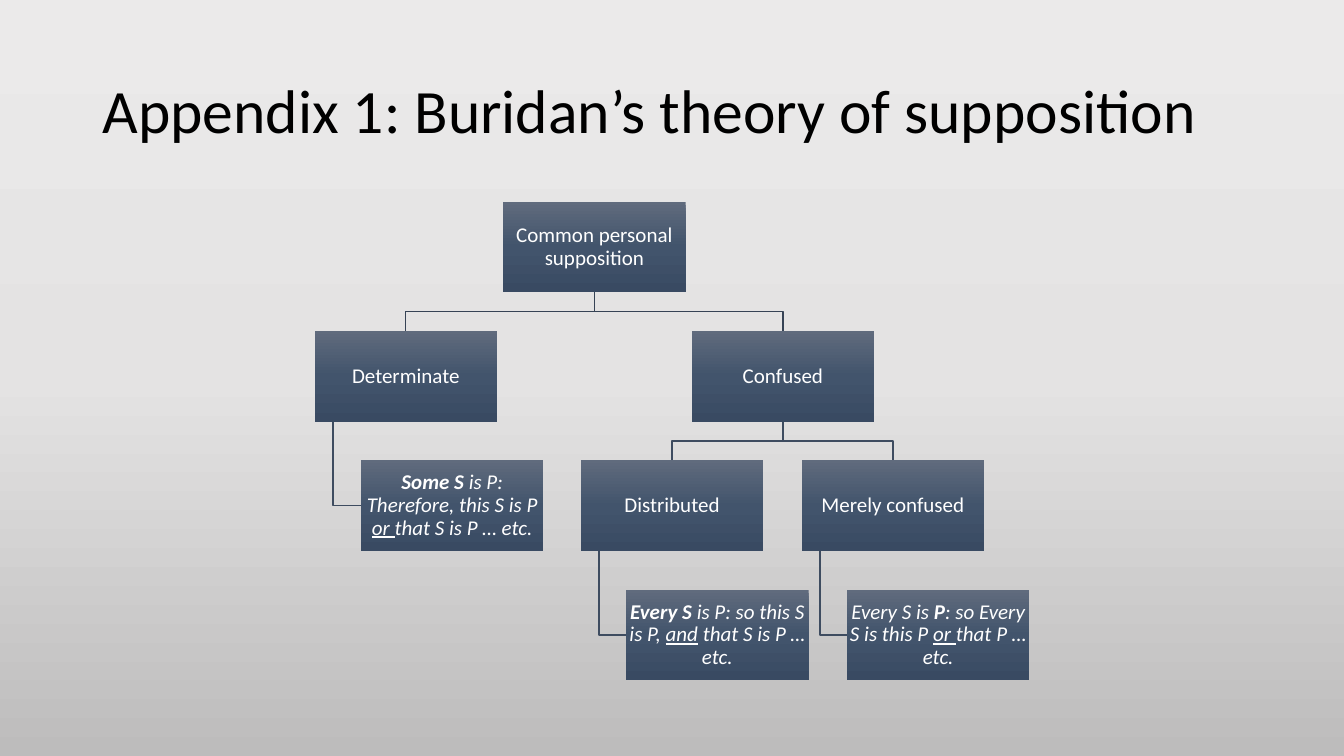
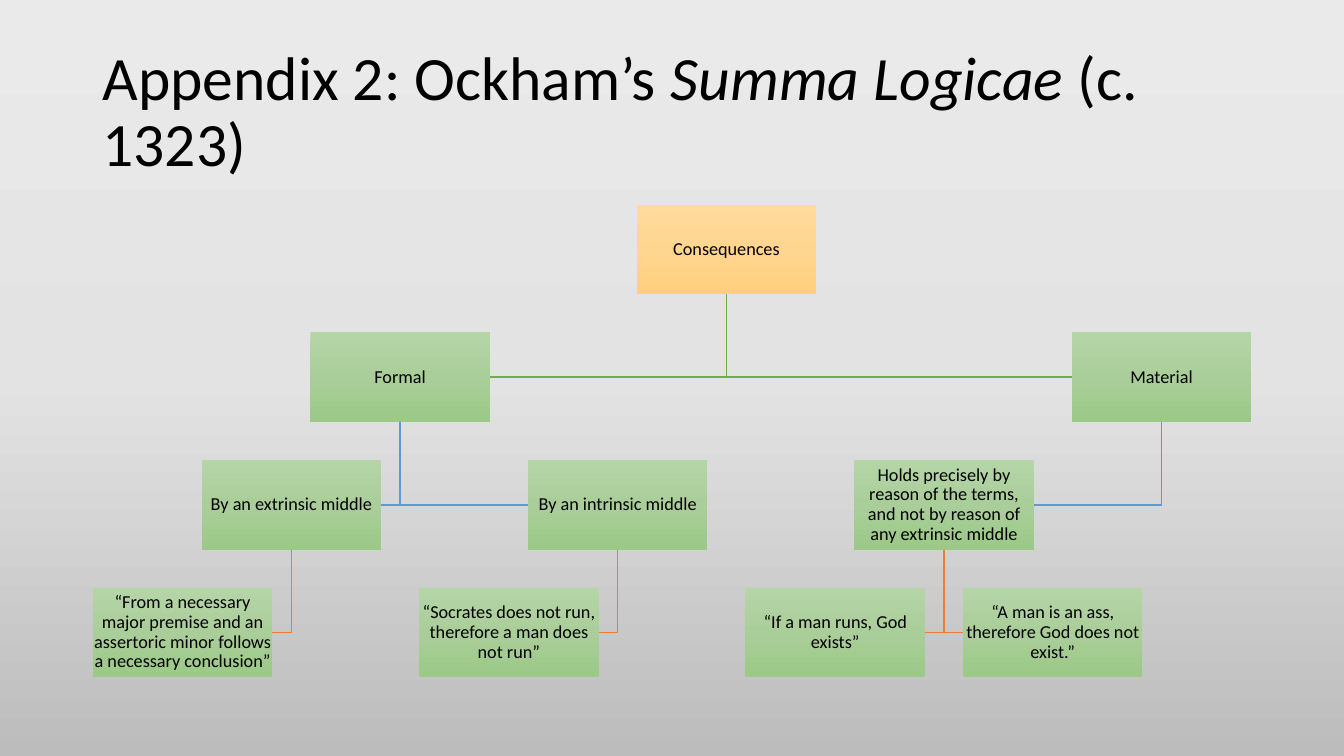
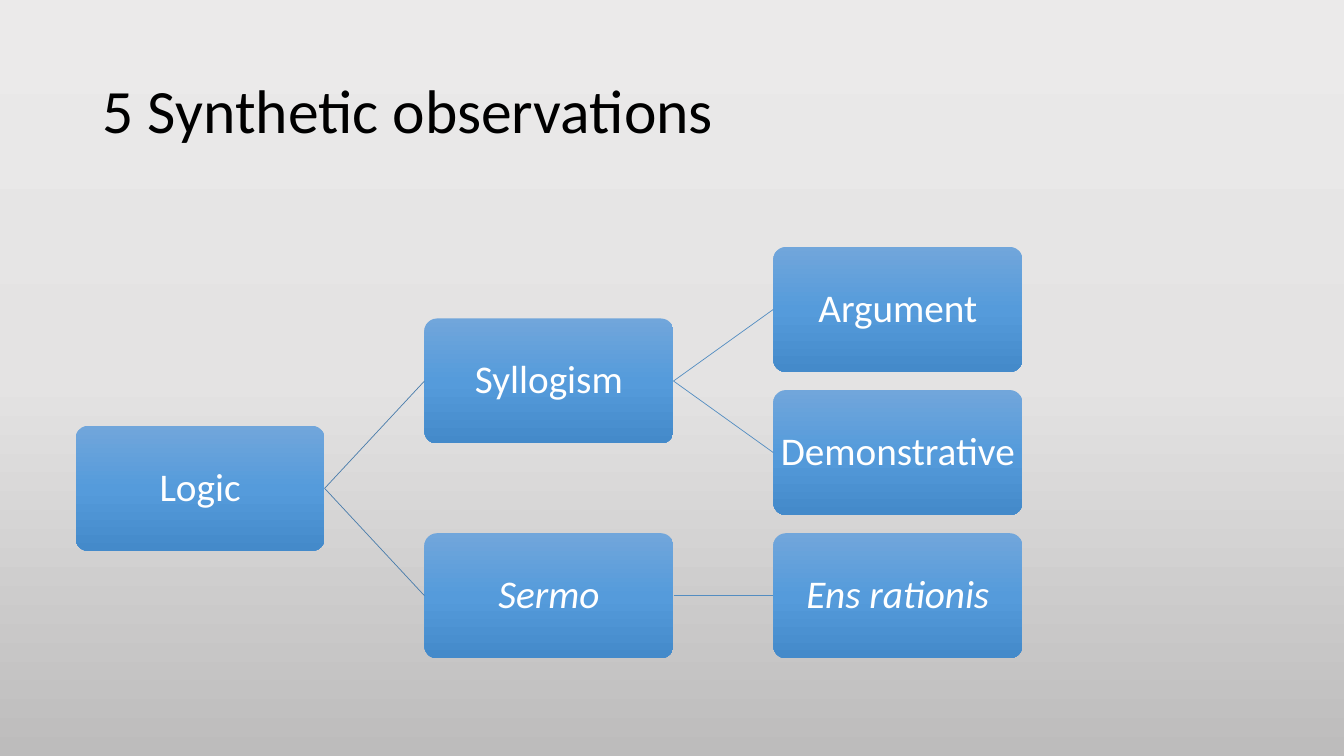
"""Build three slides of logic diagrams, each drawn from a tree of boxes."""
from copy import deepcopy
from dataclasses import dataclass
from typing import Callable, NamedTuple, Optional, Union

from lxml.etree import SubElement
from pptx import Presentation
from pptx.dml.color import RGBColor
from pptx.dml.fill import FillFormat
from pptx.enum.shapes import MSO_CONNECTOR as Link, MSO_SHAPE as Preset
from pptx.enum.text import MSO_ANCHOR as Anchor, PP_ALIGN as Align
from pptx.oxml.ns import qn
from pptx.shapes.autoshape import Shape
from pptx.shapes.connector import Connector
from pptx.slide import Slide
from pptx.text.text import TextFrame
from pptx.util import Inches, Pt

FONT = "Calibri"
BLACK = RGBColor(0x00, 0x00, 0x00)
WHITE = RGBColor(0xFF, 0xFF, 0xFF)
DARK_SLATE = RGBColor(0x36, 0x43, 0x55)
SLATE = RGBColor(0x3E, 0x4C, 0x60)
GREEN = RGBColor(0x70, 0xAD, 0x47)
BLUE = RGBColor(0x5B, 0x9B, 0xD5)
ORANGE = RGBColor(0xED, 0x7D, 0x31)
STEEL = RGBColor(0x49, 0x7C, 0xAB)
LIGHT_STEEL = RGBColor(0x53, 0x8D, 0xC1)

Gradient = tuple[RGBColor, RGBColor, RGBColor]
GREY_FADE: Gradient = (
    RGBColor(0xEB, 0xEA, 0xEA), RGBColor(0xE4, 0xE3, 0xE3), RGBColor(0xBD, 0xBC, 0xBC))
SLATE_FADE: Gradient = (
    RGBColor(0x60, 0x6B, 0x7D), RGBColor(0x42, 0x54, 0x6C), RGBColor(0x39, 0x4A, 0x62))
GOLD_FADE: Gradient = (
    RGBColor(0xFF, 0xDB, 0x9E), RGBColor(0xFF, 0xD5, 0x90), RGBColor(0xFF, 0xD0, 0x7C))
GREEN_FADE: Gradient = (
    RGBColor(0xB5, 0xD5, 0xA7), RGBColor(0xAA, 0xCE, 0x9A), RGBColor(0x9C, 0xC9, 0x87))
BLUE_FADE: Gradient = (
    RGBColor(0x71, 0xA6, 0xDB), RGBColor(0x55, 0x9B, 0xDB), RGBColor(0x44, 0x8A, 0xCA))


class Span(NamedTuple):
    text: str
    bold: bool = False
    italic: bool = False
    underline: bool = False


@dataclass(frozen=True)
class Box:
    spans: tuple[Span, ...]
    column: float
    row: float
    children: tuple["Box", ...] = ()
    fill: Optional[Gradient] = None


Line = Union[Shape, Connector]


@dataclass(frozen=True)
class Diagram:
    title: tuple[Span, ...]
    root: Box
    left: float
    top: float
    column_step: float
    row_step: float
    width: float
    height: float
    preset: Preset
    fill: Gradient
    ink: RGBColor
    size: int
    inset: float
    link: Callable[[Slide, Shape, Shape, bool], Line]
    link_colors: tuple[RGBColor, ...]
    link_width: float


def fade(fill: FillFormat, colors: Gradient) -> None:
    fill.gradient()
    fill.gradient_angle = 270
    last = fill.gradient_stops[1]._gs
    last.addprevious(deepcopy(last))
    for index, color in enumerate(colors):
        stop = fill.gradient_stops[index]
        stop.position = index / 2
        stop.color.rgb = color


def write(frame: TextFrame, spans: tuple[Span, ...], size: int, ink: RGBColor,
          align: Align) -> None:
    frame.word_wrap = True
    frame.vertical_anchor = Anchor.MIDDLE
    para = frame.paragraphs[0]
    para.alignment = align
    para.line_spacing = 0.9
    para.font.name = FONT
    para.font.size = Pt(size)
    para.font.color.rgb = ink
    all_italic = all(span.italic for span in spans)
    para.font.italic = all_italic
    for span in spans:
        run = para.add_run()
        run.text = span.text
        if span.bold:
            run.font.bold = True
        if span.underline:
            run.font.underline = True
        if span.italic and not all_italic:
            run.font.italic = True


def center(shape: Shape) -> int:
    return shape.left + shape.width // 2


def middle(shape: Shape) -> int:
    return shape.top + shape.height // 2


def bend(page: Slide, *points: tuple[int, int]) -> Shape:
    builder = page.shapes.build_freeform(*points[0])
    builder.add_line_segments(points[1:], close=False)
    line = builder.convert_to_shape()
    line.fill.background()
    return line


def link_branch(page: Slide, parent: Shape, child: Shape, only: bool) -> Line:
    bottom = parent.top + parent.height
    if only:
        drop = parent.left + parent.width // 10
        return bend(page, (drop, bottom), (drop, middle(child)), (child.left, middle(child)))
    halfway = (bottom + child.top) // 2
    return bend(page, (center(parent), bottom), (center(parent), halfway),
                (center(child), halfway), (center(child), child.top))


def link_side(page: Slide, parent: Shape, child: Shape, only: bool) -> Line:
    drop = center(parent)
    side = child.left + child.width if center(child) < drop else child.left
    return bend(page, (drop, parent.top + parent.height), (drop, middle(child)),
                (side, middle(child)))


def link_straight(page: Slide, parent: Shape, child: Shape, only: bool) -> Line:
    line = page.shapes.add_connector(Link.STRAIGHT, 0, 0, 0, 0)
    line.begin_connect(parent, 3)
    line.end_connect(child, 1)
    return line


def draw_box(page: Slide, diagram: Diagram, box: Box) -> Shape:
    shape = page.shapes.add_shape(
        diagram.preset,
        Inches(diagram.left + box.column * diagram.column_step),
        Inches(diagram.top + box.row * diagram.row_step),
        Inches(diagram.width), Inches(diagram.height))
    if diagram.preset == Preset.ROUNDED_RECTANGLE:
        shape.adjustments[0] = 0.1
    shape.shadow.inherit = False
    fade(shape.fill, box.fill or diagram.fill)
    shape.line.fill.background()
    frame = shape.text_frame
    frame.margin_left = frame.margin_right = Inches(diagram.inset)
    frame.margin_top = frame.margin_bottom = Inches(diagram.inset)
    write(frame, box.spans, diagram.size, diagram.ink, Align.CENTER)
    return shape


def draw_tree(page: Slide, diagram: Diagram, box: Box, depth: int = 0) -> Shape:
    parent = draw_box(page, diagram, box)
    for branch in box.children:
        child = draw_tree(page, diagram, branch, depth + 1)
        line = diagram.link(page, parent, child, len(box.children) == 1)
        line.line.color.rgb = diagram.link_colors[depth]
        line.line.width = Pt(diagram.link_width)
        SubElement(line._element.spPr, qn("a:effectLst"))
    return parent


def draw_title(page: Slide, spans: tuple[Span, ...]) -> None:
    title = page.shapes.add_textbox(Inches(0.92), Inches(0.4), Inches(11.5), Inches(1.45))
    write(title.text_frame, spans, 44, BLACK, Align.LEFT)


SUPPOSITION = Diagram(
    title=(Span("Appendix 1: Buridan’s theory of supposition"),),
    root=Box((Span("Common personal supposition"),), 4.99, 0, (
        Box((Span("Determinate"),), 3.12, 1, (
            Box((Span("Some S ", bold=True, italic=True),
                 Span("is P: Therefore, this S is P ", italic=True),
                 Span("or ", italic=True, underline=True),
                 Span("that S is P … etc.", italic=True)), 3.58, 2),)),
        Box((Span("Confused"),), 6.86, 1, (
            Box((Span("Distributed"),), 5.76, 2, (
                Box((Span("Every S ", bold=True, italic=True),
                     Span("is P: so this S is P, ", italic=True),
                     Span("and", italic=True, underline=True),
                     Span(" that S is P … etc.", italic=True)), 6.21, 3),)),
            Box((Span("Merely confused"),), 7.95, 2, (
                Box((Span("Every S is ", italic=True),
                     Span("P", bold=True, italic=True),
                     Span(": so Every S is this P ", italic=True),
                     Span("or ", italic=True, underline=True),
                     Span("that P … etc.", italic=True)), 8.4, 3),)))))),
    left=0, top=2, column_step=1, row_step=(5.85 - 2) / 3, width=1.81, height=0.9,
    preset=Preset.RECTANGLE, fill=SLATE_FADE, ink=WHITE, size=15, inset=0.01,
    link=link_branch, link_colors=(DARK_SLATE, SLATE, SLATE), link_width=1)

CONSEQUENCES = Diagram(
    title=(Span("Appendix 2: Ockham’s "), Span("Summa Logicae", italic=True),
           Span(" (c. 1323)")),
    root=Box((Span("Consequences"),), 5, 0, (
        Box((Span("Formal"),), 2, 1, (
            Box((Span("By an extrinsic middle"),), 1, 2, (
                Box((Span("“From a necessary major premise and an assertoric minor "
                          "follows a necessary conclusion”"),), 0, 3),)),
            Box((Span("By an intrinsic middle"),), 4, 2, (
                Box((Span("“Socrates does not run, therefore a man does not run”"),),
                    3, 3),)))),
        Box((Span("Material"),), 9, 1, (
            Box((Span("Holds precisely by reason of the terms, and not by reason of "
                      "any extrinsic middle"),), 7, 2, (
                Box((Span("“If a man runs, God exists”"),), 6, 3),
                Box((Span("“A man is an ass, therefore God does not exist.”"),),
                    8, 3))),))), fill=GOLD_FADE),
    left=0.92, top=2.03, column_step=(10.63 - 0.92) / 9, row_step=(5.83 - 2.03) / 3,
    width=1.78, height=0.89,
    preset=Preset.RECTANGLE, fill=GREEN_FADE, ink=BLACK, size=13, inset=0.01,
    link=link_side, link_colors=(GREEN, BLUE, ORANGE), link_width=1)

LOGIC = Diagram(
    title=(Span("5 Synthetic observations"),),
    root=Box((Span("Logic"),), 0, 1.25, (
        Box((Span("Syllogism"),), 1, 0.5, (
            Box((Span("Argument"),), 2, 0),
            Box((Span("Demonstrative"),), 2, 1))),
        Box((Span("Sermo", italic=True),), 1, 2, (
            Box((Span("Ens rationis", italic=True),), 2, 2),)))),
    left=0.75, top=2.45, column_step=3.46, row_step=1.42, width=2.47, height=1.24,
    preset=Preset.ROUNDED_RECTANGLE, fill=BLUE_FADE, ink=WHITE, size=28, inset=0.02,
    link=link_straight, link_colors=(STEEL, LIGHT_STEEL), link_width=0.5)


def main() -> None:
    deck = Presentation()
    deck.slide_width = Inches(13.33)
    deck.slide_height = Inches(7.5)
    fade(deck.slide_master.background.fill, GREY_FADE)
    for diagram in (SUPPOSITION, CONSEQUENCES, LOGIC):
        page = deck.slides.add_slide(deck.slide_layouts[6])
        draw_title(page, diagram.title)
        draw_tree(page, diagram, diagram.root)
    deck.save("out.pptx")


if __name__ == "__main__":
    main()
